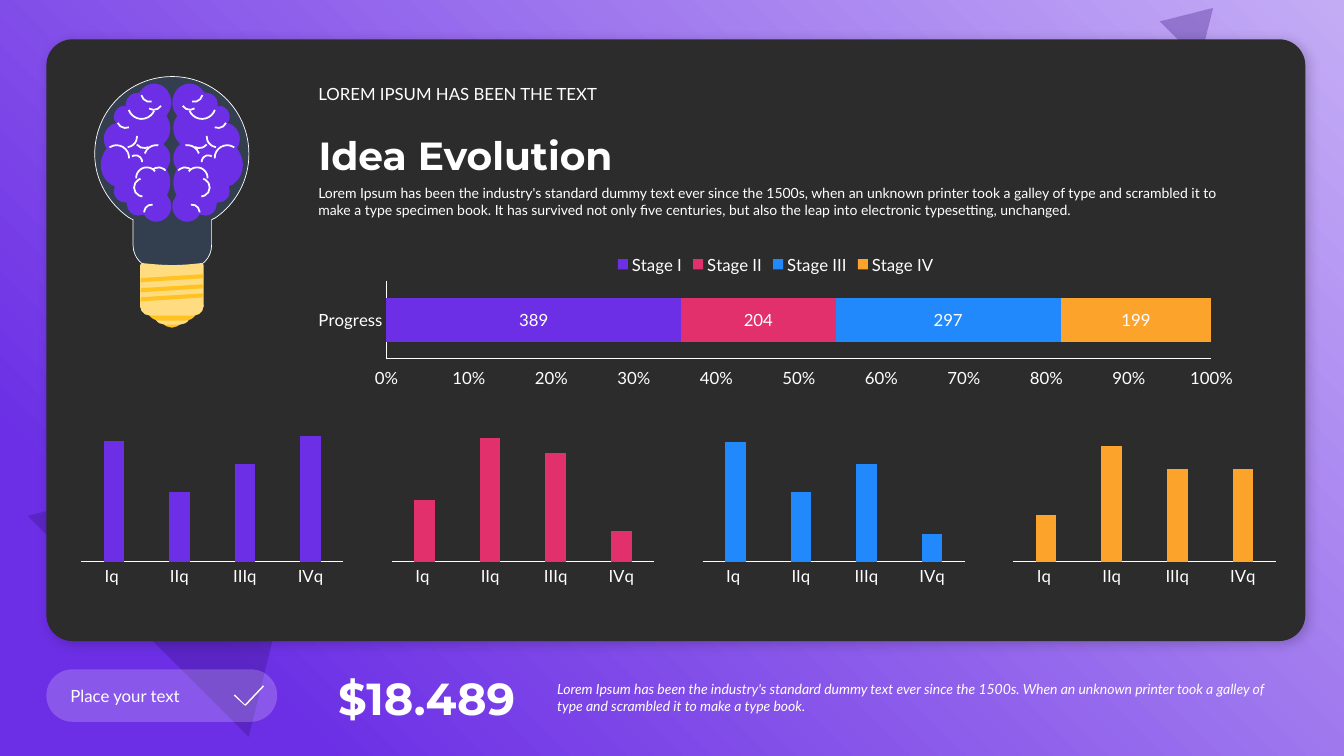
import pptx
import pptx.chart.data
import pptx.dml.color
import pptx.enum.chart
import pptx.enum.shapes
import pptx.enum.text
import pptx.oxml
import pptx.oxml.ns
import pptx.util

Inches, Pt = pptx.util.Inches, pptx.util.Pt
RGBColor = pptx.dml.color.RGBColor
SHAPE = pptx.enum.shapes.MSO_SHAPE
CHART = pptx.enum.chart.XL_CHART_TYPE
ANCHOR = pptx.enum.text.MSO_ANCHOR
ALIGN = pptx.enum.text.PP_ALIGN

WHITE = RGBColor(0xFF, 0xFF, 0xFF)
DARK = RGBColor(0x2C, 0x2C, 0x2C)
LILAC = RGBColor(0xC4, 0xAC, 0xF5)
INDIGO = RGBColor(0x33, 0x0F, 0x7B)
PURPLE = RGBColor(0x6C, 0x2F, 0xE5)
PINK = RGBColor(0xE1, 0x30, 0x6C)
BLUE = RGBColor(0x21, 0x89, 0xFB)
ORANGE = RGBColor(0xFC, 0xA3, 0x2C)
SLATE = RGBColor(0x33, 0x3F, 0x4F)
AMBER = RGBColor(0xFF, 0xC2, 0x20)
CREAM = RGBColor(0xFF, 0xDC, 0x80)

WIDTH, HEIGHT = 40 / 3, 7.5
TITLE = ("Idea Evolution", (3.06, 1.25, 9.35, 0.57), ANCHOR.BOTTOM, ALIGN.LEFT, 0,
         {"size": Pt(28), "name": "Montserrat", "bold": True})
TEXTS = [
    ("Place your text", (0.6, 6.75, 1.88, 0.3), ANCHOR.MIDDLE, ALIGN.LEFT, 0, {"size": Pt(12)}),
    ("$18.489 ", (3.19, 6.6, 2.02, 0.64), ANCHOR.MIDDLE, ALIGN.RIGHT, 0,
     {"size": Pt(32), "name": "Montserrat", "bold": True}),
    ("Lorem Ipsum has been the industry's standard dummy text ever since the 1500s. When an unknown "
     "printer took a galley of type and scrambled it to make a type book.",
     (5.43, 6.7, 7.33, 0.44), ANCHOR.MIDDLE, ALIGN.LEFT, 6, {"size": Pt(10), "italic": True}),
    ("Lorem Ipsum has been the industry's standard dummy text ever since the 1500s, when an unknown "
     "printer took a galley of type and scrambled it to make a type specimen book. It has survived not "
     "only five centuries, but also the leap into electronic typesetting, unchanged.",
     (3.06, 1.78, 9.35, 0.44), ANCHOR.TOP, ALIGN.LEFT, 6, {"size": Pt(10)}),
    ("LOREM IPSUM HAS BEEN THE TEXT", (3.06, 0.78, 9.35, 0.3), ANCHOR.BOTTOM, ALIGN.LEFT, 0,
     {"size": Pt(12)}),
]

STAGES = [("Stage I", 389, PURPLE), ("Stage II", 204, PINK), ("Stage III", 297, BLUE), ("Stage IV", 199, ORANGE)]
QUARTERS = ["Iq ", "IIq", "IIIq", "IVq"]
QUARTER_CHARTS = [
    ((96, 56, 78, 100), 111, PURPLE),
    ((50, 100, 88, 25), 112.5, PINK),
    ((100, 58, 81, 23), 116, BLUE),
    ((40, 100, 80, 80), 120, ORANGE),
]
FIRST_CHART, LAST_CHART = 0.75, 10

CHECK = [(2.62, 6.81), (2.61, 6.8), (2.43, 6.99), (2.33, 6.89), (2.32, 6.9), (2.43, 7), (2.44, 7)]
GLASS = [
    (1.71, 0.76), (2.13, 0.76, 2.47, 1.1, 2.47, 1.53), (2.47, 1.79, 2.34, 2.02, 2.14, 2.16), (2.1, 2.18),
    (2.1, 2.43), (2.1, 2.56, 2, 2.66, 1.88, 2.66), (1.54, 2.66), (1.42, 2.66, 1.32, 2.56, 1.32, 2.43),
    (1.32, 2.18), (1.28, 2.16), (1.08, 2.02, 0.94, 1.79, 0.94, 1.53), (0.94, 1.1, 1.28, 0.76, 1.71, 0.76),
]
LOBE = [
    (1.53, 0.83), (1.62, 0.83, 1.7, 0.91, 1.7, 1.02), (1.7, 1.05, 1.69, 1.09, 1.67, 1.12), (1.65, 1.15),
    (1.68, 1.19, 1.69, 1.23, 1.69, 1.27), (1.69, 1.33, 1.67, 1.38, 1.63, 1.42), (1.62, 1.43),
    (1.63, 1.44), (1.67, 1.47, 1.69, 1.52, 1.69, 1.57), (1.69, 1.61, 1.68, 1.64, 1.66, 1.67),
    (1.65, 1.68), (1.66, 1.69), (1.68, 1.73, 1.69, 1.77, 1.69, 1.81), (1.69, 1.85, 1.68, 1.89, 1.66, 1.93),
    (1.65, 1.94), (1.66, 1.94), (1.68, 1.97, 1.7, 2, 1.7, 2.05), (1.7, 2.13, 1.63, 2.2, 1.55, 2.2),
    (1.5, 2.2, 1.45, 2.17, 1.43, 2.13), (1.42, 2.13), (1.4, 2.14, 1.39, 2.14, 1.37, 2.14),
    (1.31, 2.14, 1.26, 2.09, 1.26, 2.03), (1.26, 2.01), (1.25, 2.01), (1.18, 2.01, 1.13, 1.96, 1.13, 1.9),
    (1.13, 1.88, 1.13, 1.87, 1.14, 1.85), (1.1, 1.83), (1.04, 1.79, 1, 1.72, 1, 1.63),
    (1, 1.58, 1.02, 1.54, 1.04, 1.5), (1.06, 1.47), (1.05, 1.46), (1.04, 1.44, 1.03, 1.41, 1.03, 1.38),
    (1.03, 1.3, 1.08, 1.24, 1.15, 1.22), (1.16, 1.22), (1.14, 1.2), (1.13, 1.19, 1.13, 1.17, 1.13, 1.16),
    (1.13, 1.1, 1.18, 1.05, 1.23, 1.05), (1.25, 1.06), (1.25, 1.03), (1.25, 0.97, 1.3, 0.92, 1.37, 0.92),
    (1.38, 0.92), (1.39, 0.91), (1.42, 0.86, 1.47, 0.83, 1.53, 0.83),
]
FOLDS = [
    (1.44, 0.92, 0.17, 122.3, 162, 0), (1.4, 0.84, 0.17, 167.1, 162, 0),
    (1.27, 0.91, 0.27, 167.1, 130.12, 211.95), (1.03, 1.44, 0.25, 167.1, 41.6, 117.24),
    (1.28, 1.54, 0.13, 167.1, 41.6, 117.24), (1.16, 1.1, 0.17, 156.5, 162, 0),
    (1.49, 1.66, 0.17, 126.4, 63.03, 117.24), (1.35, 1.66, 0.21, 126.4, 30.97, 117.24),
    (1.43, 2.03, 0.15, 126.4, 30.97, 90.77), (1.43, 1.44, 0.24, 158.8, 23.82, 72.33),
    (1.33, 1.77, 0.18, 58.3, 21.7, 117.24), (1.34, 1.29, 0.18, 21.9, 23.82, 72.33),
    (1.15, 1.25, 0.21, 110.9, 147.33, 199.6),
]
BRAIN_SPAN = 3.41
CAPS = [((1.6, 3.05, 0.21, 0.2), AMBER), ((1.53, 3.02, 0.36, 0.2), CREAM),
        ((1.46, 2.94, 0.5, 0.24), AMBER), ((1.39, 2.94, 0.63, 0.19), CREAM)]
SOCKET = [(1.39, 2.63), (1.39, 2.62, 1.4, 2.61, 1.41, 2.61), (1.51, 2.62, 1.6, 2.63, 1.71, 2.63),
          (1.82, 2.63, 1.91, 2.62, 2, 2.61), (2.01, 2.61, 2.02, 2.62, 2.02, 2.63), (2.02, 3.04),
          (2.02, 3.05, 2.01, 3.06, 2, 3.06), (1.41, 3.06), (1.4, 3.06, 1.39, 3.05, 1.39, 3.04)]
THREADS = [2.74, 2.84, 2.93]


def xml(text):
    return pptx.oxml.parse_xml(text.replace(" ", " %s " % pptx.oxml.ns.nsdecls("a", "c"), 1))


def paint(shape, fill=None, alpha=None, line=None, width=0.0):
    shape.shadow.inherit = False
    if fill is None:
        shape.fill.background()
    else:
        shape.fill.solid()
        shape.fill.fore_color.rgb = fill
    if alpha:
        shape.element.spPr.xpath("a:solidFill/a:srgbClr")[0].append(xml(f'<a:alpha val="{alpha * 1000}"/>'))
    if line is None:
        shape.line.fill.background()
    else:
        shape.line.color.rgb, shape.line.width = line, Pt(width)
    return shape


def draw(parent, kind, place, adjust=(), turn=0, **look):
    shape = parent.shapes.add_shape(kind, *map(Inches, place))
    for index, value in enumerate(adjust):
        shape.adjustments[index] = value
    shape.rotation = turn
    return paint(shape, **look)


def outline(parent, segments, **look):
    ends = [(Inches(part[-2]), Inches(part[-1])) for part in segments]
    builder = parent.shapes.build_freeform(*ends[0])
    builder.add_line_segments(ends[1:], close=True)
    shape = builder.convert_to_shape()
    left, top = (min(values) for values in zip(*ends))
    for node, part in zip(shape.element.spPr.xpath(".//a:lnTo"), segments[1:]):
        if len(part) == 6:
            points = "".join(f'<a:pt x="{Inches(x) - left}" y="{Inches(y) - top}"/>'
                             for x, y in zip(part[::2], part[1::2]))
            node.getparent().replace(node, xml(f"<a:cubicBezTo >{points}</a:cubicBezTo>"))
    return paint(shape, **look)


def write(box, text, place, anchor, align, after, look):
    box.left, box.top, box.width, box.height = map(Inches, place)
    frame = box.text_frame
    frame.word_wrap, frame.vertical_anchor = True, anchor
    frame.auto_size = pptx.enum.text.MSO_AUTO_SIZE.SHAPE_TO_FIT_TEXT
    para = frame.paragraphs[0]
    para.alignment, para.space_after = align, Pt(after)
    span = para.add_run()
    span.text = text
    for name, value in {"name": "Lato", **look}.items():
        setattr(span.font, name, value)
    span.font.color.rgb = WHITE


def plot_chart(page, kind, place, categories, series, gap, overlap):
    data = pptx.chart.data.CategoryChartData()
    data.categories = categories
    for name, values, _ in series:
        data.add_series(name, values)
    chart = page.shapes.add_chart(kind, *map(Inches, place), data).chart
    chart.has_title = chart.has_legend = False
    chart.font.name, chart.font.size = "Lato", Pt(12)
    chart.font.color.rgb = WHITE
    plot = chart.plots[0]
    plot.gap_width, plot.overlap, plot.vary_by_categories = gap, overlap, False
    for bars, (_, _, color) in zip(plot.series, series):
        bars.format.fill.solid()
        bars.format.fill.fore_color.rgb = color
    for axis in (chart.category_axis, chart.value_axis):
        axis.has_major_gridlines = False
        axis.major_tick_mark = axis.minor_tick_mark = pptx.enum.chart.XL_TICK_MARK.NONE
        axis.format.line.color.rgb, axis.format.line.width = WHITE, Pt(0.75)
    return chart


def draw_bulb(page):
    bulb = page.shapes.add_group_shape()
    outline(bulb, GLASS, fill=SLATE, line=WHITE, width=0.5)
    for mirrored in (False, True):
        lobe = LOBE
        if mirrored:
            lobe = [tuple(v if i % 2 else BRAIN_SPAN - v for i, v in enumerate(part)) for part in LOBE]
        outline(bulb, lobe, fill=PURPLE)
        for x, y, size, turn, start, end in FOLDS:
            left, angle = (BRAIN_SPAN - x - size, 360 - turn) if mirrored else (x, turn)
            fold = draw(bulb, SHAPE.ARC, (left, y, size, size), (start, end), angle, line=WHITE, width=1.25)
            if mirrored:
                fold.element.spPr.xfrm.set("flipH", "1")
    for place, color in CAPS:
        draw(bulb, SHAPE.ROUNDED_RECTANGLE, place, (0.5,), fill=color)
    outline(bulb, SOCKET, fill=CREAM)
    for top in THREADS:
        draw(bulb, SHAPE.PARALLELOGRAM, (1.39, top, 0.63, 0.04), (0.31,), 356.4, fill=AMBER)


def main():
    deck = pptx.Presentation()
    deck.slide_width, deck.slide_height = Inches(WIDTH), Inches(HEIGHT)
    page = deck.slides.add_slide(deck.slide_layouts[5])
    page.background.fill.solid()
    page.background.fill.fore_color.rgb = DARK

    backdrop = draw(page, SHAPE.RECTANGLE, (0, 0, WIDTH, HEIGHT))
    backdrop.fill.gradient()
    for stop, color, position in zip(backdrop.fill.gradient_stops, (LILAC, PURPLE), (0, 0.85)):
        stop.color.rgb, stop.position = color, position
    linear = backdrop.element.spPr.xpath("a:gradFill/a:lin")[0]
    linear.getparent().replace(linear, xml('<a:path path="circle"><a:fillToRect l="100000" b="100000"/></a:path>'))
    for place in ((0.73, 4.02, 3.1, 2.57), (11.59, 0.01, 0.56, 0.47)):
        draw(page, SHAPE.ISOSCELES_TRIANGLE, place, turn=45, fill=INDIGO, alpha=30)
    card = draw(page, SHAPE.ROUNDED_RECTANGLE, (0.46, 0.39, 12.49, 5.97), (0.26 / 5.97,), fill=DARK)
    card.element.spPr.xpath("a:effectLst")[0].append(xml(
        f'<a:outerShdw blurRad="{Pt(8)}" dist="{Pt(3)}" dir="2700000" algn="tl" rotWithShape="0">'
        '<a:srgbClr val="000000"><a:alpha val="20000"/></a:srgbClr></a:outerShdw>'))

    draw(page, SHAPE.ROUNDED_RECTANGLE, (0.46, 6.64, 2.29, 0.52), (0.5,), fill=WHITE, alpha=20)
    outline(page, CHECK, fill=WHITE)
    for text, place, *style in TEXTS[:3]:
        write(page.shapes.add_textbox(*map(Inches, place)), text, place, *style)
    draw_bulb(page)
    title = page.shapes.title
    title.element.getparent().append(title.element)
    write(title, *TITLE)
    for text, place, *style in TEXTS[3:]:
        write(page.shapes.add_textbox(*map(Inches, place)), text, place, *style)

    pitch = (LAST_CHART - FIRST_CHART) / (len(QUARTER_CHARTS) - 1)
    for index, (values, top, color) in enumerate(QUARTER_CHARTS):
        chart = plot_chart(page, CHART.COLUMN_CLUSTERED, (FIRST_CHART + index * pitch, 3.97, 2.71, 2.2),
                           QUARTERS, [("Series 1", values, color)], 219, -27)
        chart.value_axis.minimum_scale, chart.value_axis.maximum_scale = 0, top
        chart.value_axis.visible = False
        area = chart.element.xpath("c:chart/c:plotArea")[0]
        for layout in area.xpath("c:layout"):
            area.remove(layout)
        frame = zip("xywh", (0.02, 0.1, 0.96, 0.63))
        area.insert(0, xml('<c:layout ><c:manualLayout><c:layoutTarget val="inner"/><c:xMode val="edge"/>'
                           '<c:yMode val="edge"/>' + "".join(f'<c:{k} val="{v}"/>' for k, v in frame)
                           + '</c:manualLayout></c:layout>'))

    progress = plot_chart(page, CHART.BAR_STACKED_100, (2.97, 2.41, 9.45, 1.47), ["Progress"],
                          [(name, (value,), color) for name, value, color in STAGES], 75, 100)
    progress.has_legend = True
    progress.legend.position = pptx.enum.chart.XL_LEGEND_POSITION.TOP
    progress.legend.include_in_layout = False
    labels = progress.value_axis.tick_labels
    labels.number_format, labels.number_format_is_linked = "0%", False
    progress.value_axis.tick_label_position = pptx.enum.chart.XL_TICK_LABEL_POSITION.LOW
    for bars in progress.plots[0].series:
        bars.data_labels.show_value = True
        bars.data_labels.font.color.rgb = WHITE
    deck.save("out.pptx")


if __name__ == "__main__":
    main()
